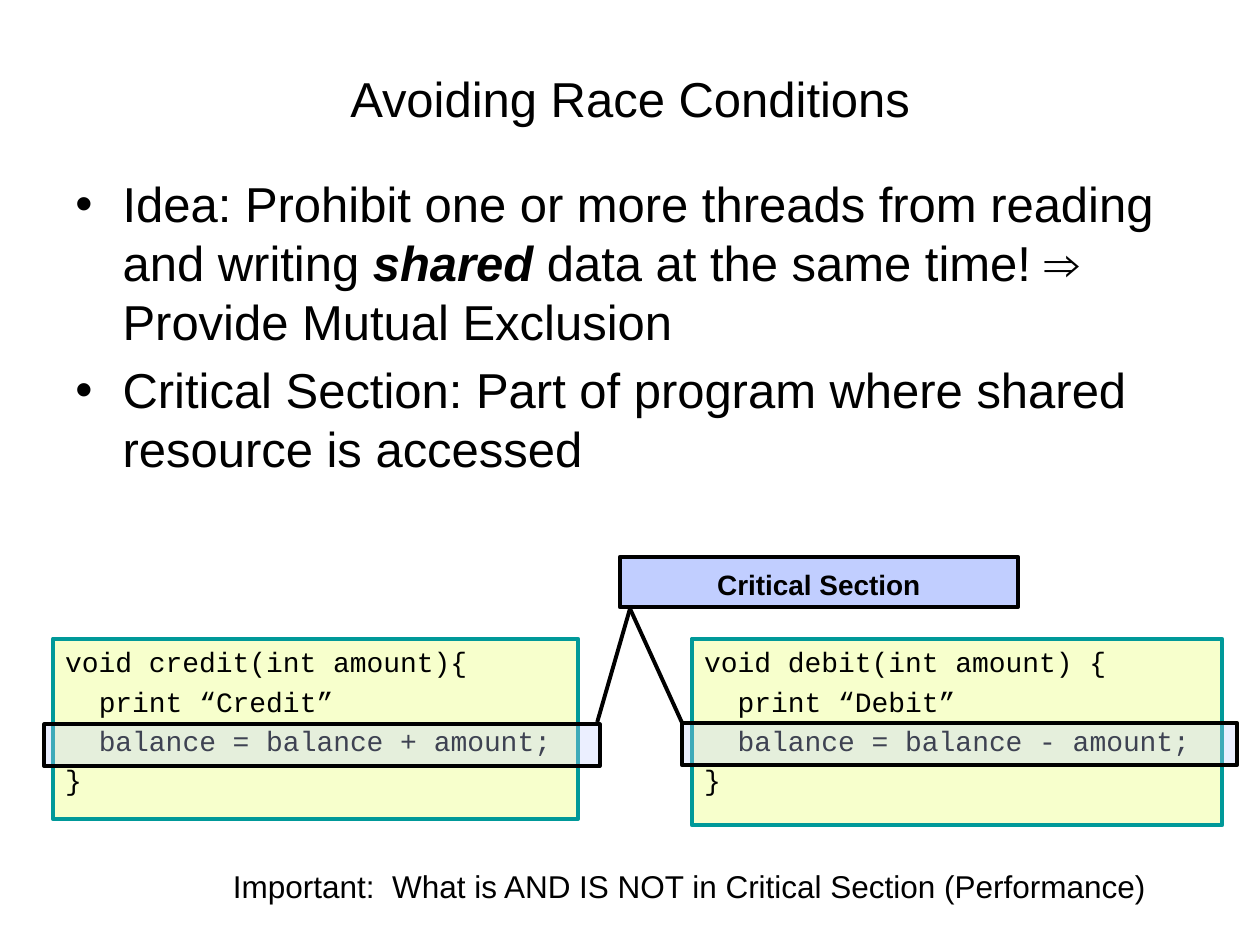
from lxml import etree
from pptx import Presentation
from pptx.dml.color import RGBColor
from pptx.enum.shapes import MSO_CONNECTOR, MSO_SHAPE
from pptx.enum.text import MSO_ANCHOR, PP_ALIGN
from pptx.oxml.ns import qn
from pptx.util import Pt

COLORS = {"black": "000000", "code": "F0FF9B", "teal": "009999", "blue": "C1CEFF"}

prs = Presentation()
prs.slide_width, prs.slide_height = Pt(720), Pt(540)
s = prs.slides.add_slide(prs.slide_layouts[6])


def add_rect(x, y, w, h, fill, line, opacity=100):
    sp = s.shapes.add_shape(MSO_SHAPE.RECTANGLE, Pt(x), Pt(y), Pt(w), Pt(h))
    sp.shadow.inherit = False
    sp.fill.solid()
    sp.fill.fore_color.rgb = RGBColor.from_string(COLORS[fill])
    if opacity < 100:
        color = sp.fill._xPr.find(qn("a:solidFill"))[0]
        etree.SubElement(color, qn("a:alpha"), val=str(opacity * 1000))
    sp.line.color.rgb = RGBColor.from_string(COLORS[line])
    sp.line.width = Pt(2.25)
    return sp


def style(p, size, font="Arial", bold=None):
    for r in p.runs:
        r.font.size, r.font.name, r.font.bold = Pt(size), font, bold
        r.font.color.rgb = RGBColor.from_string(COLORS["black"])


# Title
tf = s.shapes.add_textbox(Pt(36), Pt(21.6), Pt(648), Pt(68.4)).text_frame
tf.word_wrap = True
tf.vertical_anchor = MSO_ANCHOR.MIDDLE
tf.text = "Avoiding Race Conditions"
p = tf.paragraphs[0]
p.alignment = PP_ALIGN.CENTER
style(p, 28)

# Bullets
bullets = [
    ["Idea: Prohibit one or more threads from reading and writing ", "shared",
     " data at the same time! ⇒ Provide Mutual Exclusion"],
    ["Critical Section: Part of program where shared resource is accessed"],
]
tf = s.shapes.add_textbox(Pt(36), Pt(95.8), Pt(648), Pt(390)).text_frame
tf.word_wrap = True
for i, parts in enumerate(bullets):
    p = tf.add_paragraph() if i else tf.paragraphs[0]
    p.space_before, p.line_spacing = Pt(5.6), Pt(33.6)
    for part in parts:
        p.add_run().text = part
    style(p, 28)
    for r in p.runs:
        if r.text == "shared":
            r.font.bold = r.font.italic = True
    pPr = p._p.get_or_add_pPr()
    pPr.set("marL", str(Pt(27)))
    pPr.set("indent", str(-Pt(27)))
    etree.SubElement(pPr, qn("a:buFont"), typeface="Arial")
    etree.SubElement(pPr, qn("a:buChar"), char="•")

# Code boxes, with the body of each function indented by two characters
functions = [
    (30.2, 300.2, 103, ["void credit(int amount){", "print “Credit”",
                        "balance = balance + amount;", "}"]),
    (395.3, 303.1, 106.6, ["void debit(int amount) {", "print “Debit”",
                           "balance = balance - amount;", "}"]),
]
for x, w, h, lines in functions:
    tf = add_rect(x, 365, w, h, "code", "teal", 50).text_frame
    tf.vertical_anchor = MSO_ANCHOR.TOP
    tf.text = "\n".join(lines)
    for i, p in enumerate(tf.paragraphs):
        p.alignment = PP_ALIGN.LEFT
        p.space_before, p.line_spacing = Pt(3.2), Pt(19.2)
        style(p, 16, "Courier New")
        if i in (1, 2):
            p._p.get_or_add_pPr().set("marL", str(Pt(19.2)))

# Bands over the critical lines
for x, y in [(25.2, 414), (389.5, 413.3)]:
    add_rect(x, y, 317.5, 23.8, "blue", "black", 32)

# Label and its pointers
tf = add_rect(354.2, 318.2, 227.5, 28.8, "blue", "black").text_frame
tf.vertical_anchor = MSO_ANCHOR.BOTTOM
tf.text = "Critical Section"
p = tf.paragraphs[0]
p.alignment = PP_ALIGN.CENTER
style(p, 16, bold=True)

for x, y in [(341.3, 412.6), (390.2, 414)]:
    line = s.shapes.add_connector(MSO_CONNECTOR.STRAIGHT, Pt(x), Pt(y), Pt(360), Pt(347.8))
    line.line.color.rgb = RGBColor.from_string(COLORS["black"])
    line.line.width = Pt(2.25)
    etree.SubElement(line._element.spPr, qn("a:effectLst"))

# Closing remark
tf = s.shapes.add_textbox(Pt(126), Pt(491.8), Pt(537.8), Pt(28.8)).text_frame
tf.word_wrap = False
tf.text = "Important:  What is AND IS NOT in Critical Section (Performance)"
style(tf.paragraphs[0], 18)

prs.save("out.pptx")
